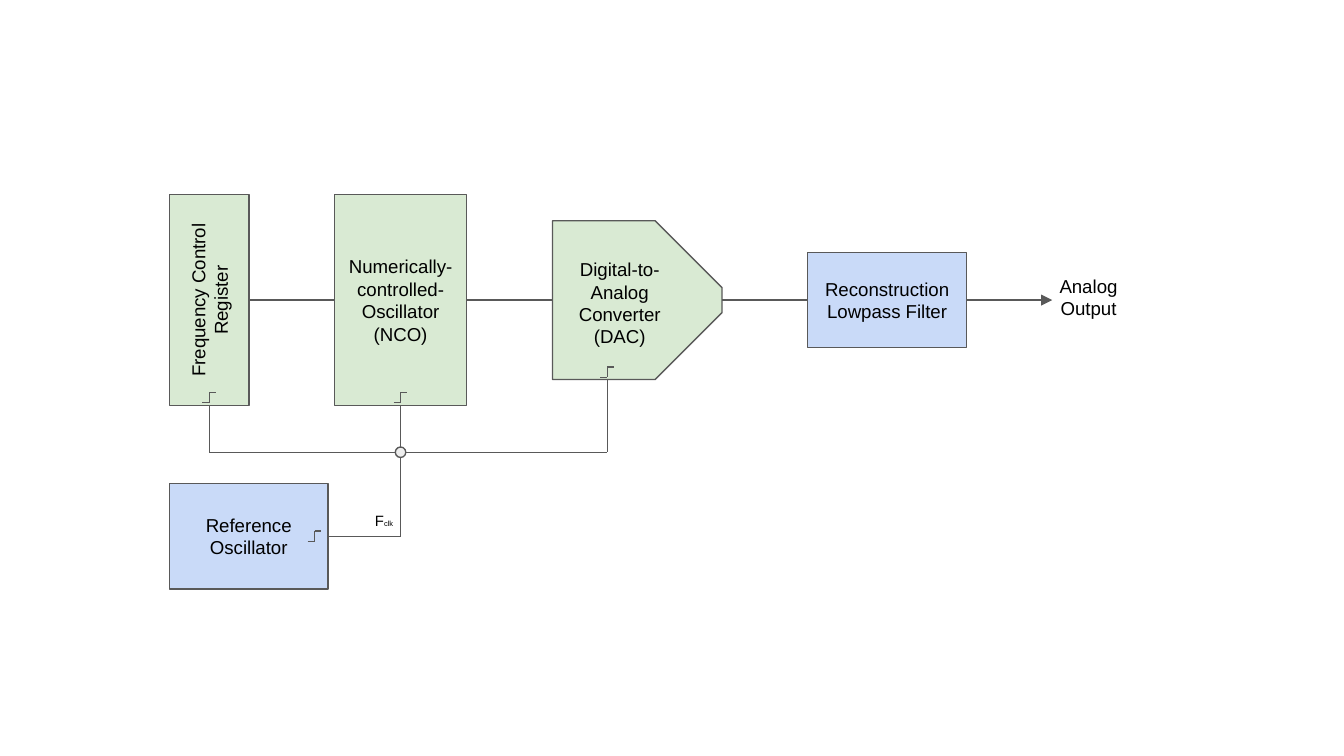
from dataclasses import dataclass
from typing import Optional

from lxml import etree
from pptx import Presentation
from pptx.dml.color import RGBColor
from pptx.enum.shapes import MSO_CONNECTOR, MSO_SHAPE
from pptx.enum.text import MSO_ANCHOR, PP_ALIGN
from pptx.oxml.ns import qn
from pptx.util import Pt

GREEN = RGBColor(0xD9, 0xEA, 0xD3)
BLUE = RGBColor(0xC9, 0xDA, 0xF8)
GRAY = RGBColor(0xEE, 0xEE, 0xEE)
OUTLINE = RGBColor(0x59, 0x59, 0x59)
BLACK = RGBColor(0, 0, 0)
RECT = MSO_SHAPE.RECTANGLE
SNIP = MSO_SHAPE.SNIP_2_SAME_RECTANGLE
OVAL = MSO_SHAPE.OVAL
STRAIGHT = MSO_CONNECTOR.STRAIGHT
CENTER, LEFT = PP_ALIGN.CENTER, PP_ALIGN.LEFT
TOP, MIDDLE = MSO_ANCHOR.TOP, MSO_ANCHOR.MIDDLE
SIDE_LEFT, SIDE_BOTTOM, SIDE_RIGHT = 1, 2, 3

FONT = "Arial"
INSET = 7.2
LINE_WIDTH = 0.75
SIGNAL_Y = 160.8
BUS_Y = 242.3
REFERENCE_Y = 287.3
REGISTER_X = 112.1
NCO_X = 214.6
DAC_CLOCK_X = 325.4
BLOCK_BOTTOM = 217.3


@dataclass(frozen=True)
class Block:
    center_x: float
    center_y: float
    width: float
    height: float
    fill: RGBColor
    text: str = ""
    kind: int = RECT
    rotation: float = 0
    outlined: bool = True
    anchor: int = MIDDLE


@dataclass(frozen=True)
class ClockMark:
    x: float
    y: float


REGISTER = Block(REGISTER_X, SIGNAL_Y, 113, 42.5, GREEN, "Frequency Control\nRegister", rotation=270)
NCO = Block(NCO_X, SIGNAL_Y, 70.8, 113, GREEN, "Numerically-controlled-Oscillator (NCO)")
DAC = Block(341.4, SIGNAL_Y, 85, 90.8, GREEN, kind=SNIP, rotation=90)
DAC_LABEL = Block(332, 161.3, 60.5, 60.5, GREEN, "Digital-to-Analog Converter (DAC)",
                  outlined=False, anchor=TOP)
FILTER = Block(475.2, SIGNAL_Y, 85, 51, BLUE, "Reconstruction Lowpass Filter")
REFERENCE = Block(133.2, REFERENCE_Y, 85, 56.8, BLUE, "Reference\nOscillator")
JUNCTION = Block(NCO_X, BUS_Y, 5.6, 5.6, GRAY, kind=OVAL)
CLOCK_MARKS = [
    ClockMark(168.5, REFERENCE_Y),
    ClockMark(REGISTER_X, 213),
    ClockMark(NCO_X, 213),
    ClockMark(DAC_CLOCK_X, 199.4),
]


def write_text(shape, text: str, align: int, anchor: int, size: float = 10) -> None:
    frame = shape.text_frame
    frame.text = text
    frame.word_wrap = True
    frame.vertical_anchor = anchor
    frame.margin_left = frame.margin_right = Pt(INSET)
    frame.margin_top = frame.margin_bottom = Pt(INSET)
    for paragraph in frame.paragraphs:
        paragraph.alignment = align
        for run in paragraph.runs:
            run.font.name = FONT
            run.font.size = Pt(size)
            run.font.color.rgb = BLACK


def draw_block(slide, block: Block):
    shape = slide.shapes.add_shape(
        block.kind, Pt(block.center_x - block.width / 2), Pt(block.center_y - block.height / 2),
        Pt(block.width), Pt(block.height))
    shape.rotation = block.rotation
    shape.shadow.inherit = False
    shape.fill.solid()
    shape.fill.fore_color.rgb = block.fill
    if block.outlined:
        shape.line.color.rgb = OUTLINE
        shape.line.width = Pt(LINE_WIDTH)
    else:
        shape.line.fill.background()
    if block.text:
        write_text(shape, block.text, CENTER, block.anchor)
    return shape


def draw_line(slide, x1: float, y1: float, x2: float, y2: float,
              begin: Optional[tuple] = None, end: Optional[tuple] = None, arrow: bool = False) -> None:
    line = slide.shapes.add_connector(STRAIGHT, Pt(x1), Pt(y1), Pt(x2), Pt(y2))
    line.line.color.rgb = OUTLINE
    line.line.width = Pt(LINE_WIDTH)
    if arrow:
        etree.SubElement(line.line._get_or_add_ln(), qn("a:tailEnd"), type="triangle")
    etree.SubElement(line._element.spPr, qn("a:effectLst"))
    if begin:
        line.begin_connect(*begin)
    if end:
        line.end_connect(*end)


def draw_clock_mark(slide, mark: ClockMark) -> None:
    top, bottom = mark.y - 2.8, mark.y + 2.8
    draw_line(slide, mark.x, top, mark.x, bottom)
    draw_line(slide, mark.x, top, mark.x + 3.7, top)
    draw_line(slide, mark.x - 3.7, bottom, mark.x, bottom)


def draw_label(slide, left: float, top: float, width: float, height: float,
               text: str, align: int, size: float):
    label = slide.shapes.add_textbox(Pt(left), Pt(top), Pt(width), Pt(height))
    write_text(label, text, align, TOP, size)
    return label


def main() -> None:
    deck = Presentation()
    deck.slide_width, deck.slide_height = Pt(720), Pt(405)
    slide = deck.slides.add_slide(deck.slide_layouts[6])

    reference = draw_block(slide, REFERENCE)
    draw_block(slide, REGISTER)
    nco = draw_block(slide, NCO)
    draw_block(slide, DAC)
    draw_block(slide, DAC_LABEL)
    reconstruction = draw_block(slide, FILTER)
    for mark in CLOCK_MARKS:
        draw_clock_mark(slide, mark)

    draw_line(slide, NCO_X, BLOCK_BOTTOM, NCO_X, REFERENCE_Y, begin=(nco, SIDE_BOTTOM))
    draw_line(slide, 175.7, REFERENCE_Y, NCO_X, REFERENCE_Y, begin=(reference, SIDE_RIGHT))
    draw_line(slide, REGISTER_X, BUS_Y, DAC_CLOCK_X, BUS_Y)
    draw_line(slide, REGISTER_X, BLOCK_BOTTOM, REGISTER_X, BUS_Y)
    draw_line(slide, DAC_CLOCK_X, 203.3, DAC_CLOCK_X, BUS_Y)
    draw_block(slide, JUNCTION)

    clock = draw_label(slide, 193.8, 269.2, 38.9, 25.2, "F", LEFT, 8)
    subscript = clock.text_frame.paragraphs[0].add_run()
    subscript.text = "clk"
    subscript.font.name = FONT
    subscript.font.size = Pt(4)
    subscript.font.color.rgb = BLACK

    draw_line(slide, 133.35, SIGNAL_Y, 179.2, SIGNAL_Y, end=(nco, SIDE_LEFT))
    draw_line(slide, 250, SIGNAL_Y, 296, SIGNAL_Y, begin=(nco, SIDE_RIGHT))
    draw_line(slide, 386.8, SIGNAL_Y, 432.7, SIGNAL_Y, end=(reconstruction, SIDE_LEFT))
    draw_line(slide, 517.7, SIGNAL_Y, 563.7, SIGNAL_Y, begin=(reconstruction, SIDE_RIGHT), arrow=True)
    draw_label(slide, 549.3, 139.8, 67.7, 46.8, "Analog\nOutput", CENTER, 10)

    for shape in slide.shapes:
        if shape.shape_type is not None and shape.rotation == DAC.rotation if hasattr(shape, "rotation") else False:
            shape.adjustments[0] = 0.421
            shape.adjustments[1] = 0

    deck.save("out.pptx")


if __name__ == "__main__":
    main()
